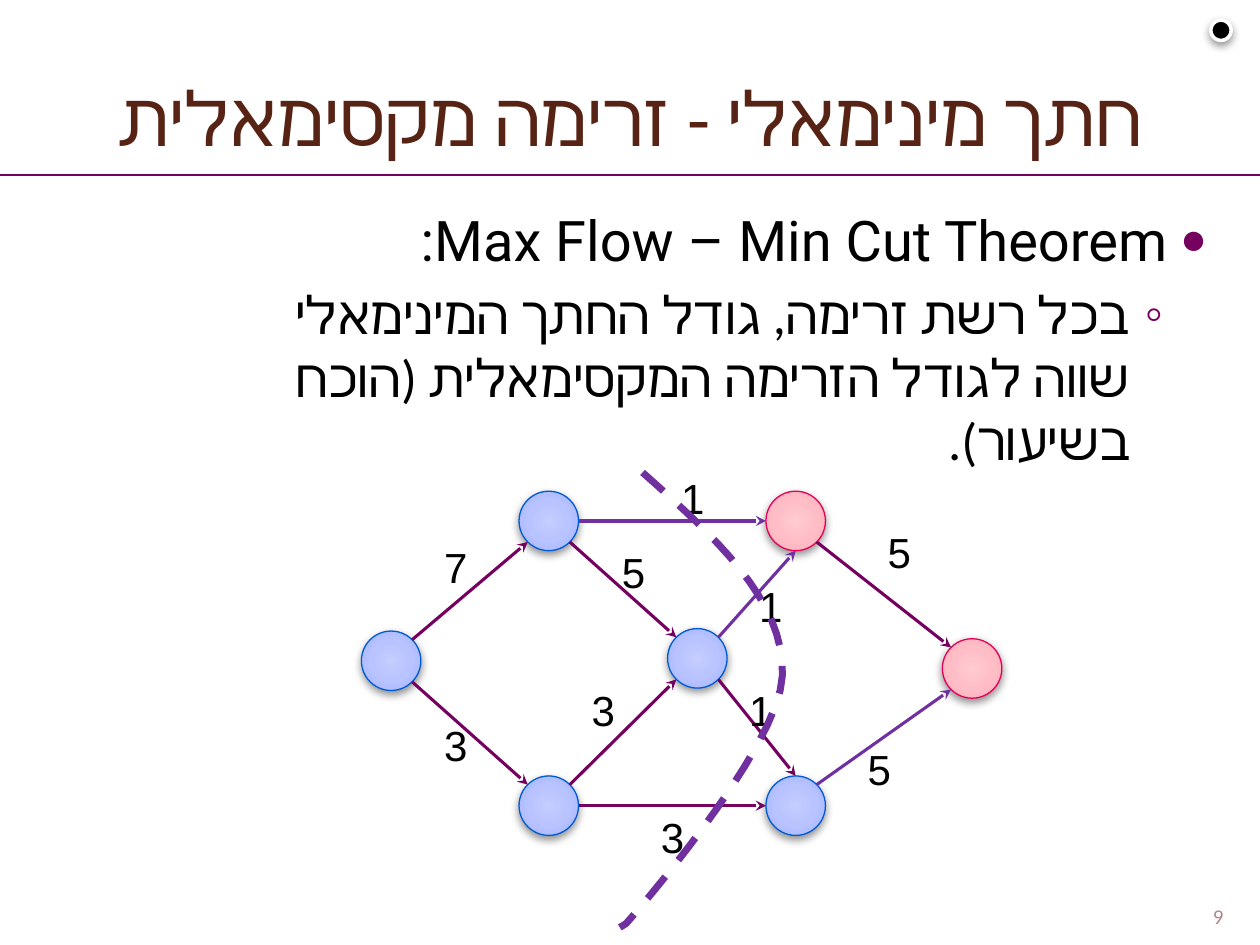
"""Build the max-flow min-cut theorem slide with its flow network."""
from math import cos, radians, sin

from pptx import Presentation
from pptx.dml.color import RGBColor
from pptx.enum.dml import MSO_LINE_DASH_STYLE as DASH
from pptx.enum.shapes import MSO_CONNECTOR as LINK, MSO_SHAPE as SHAPE
from pptx.enum.text import MSO_ANCHOR as ANCHOR, PP_ALIGN as ALIGN
from pptx.oxml import parse_xml
from pptx.oxml.ns import nsdecls, qn
from pptx.util import Pt

NS = nsdecls("a")
DARK, VIOLET = "75005F", "7030A0"


def hue(code):
    return RGBColor.from_string(code)


def write(left, top, wide, high, rows, color="000000", align=ALIGN.RIGHT, anchor=ANCHOR.TOP):
    frame = slide.shapes.add_textbox(Pt(left), Pt(top), Pt(wide), Pt(high)).text_frame
    frame.word_wrap = True
    frame.vertical_anchor = anchor
    for i, (text, size, face) in enumerate(rows):
        para = frame.add_paragraph() if i else frame.paragraphs[0]
        para.alignment = align
        para._p.get_or_add_pPr().set("rtl", "1")
        run = para.add_run()
        run.text = text
        run.font.size = Pt(size)
        run.font.name = face
        run.font.color.rgb = hue(color)
        run._r.rPr.append(parse_xml(f'<a:cs {NS} typeface="{face}"/>'))
    return frame


deck = Presentation()
deck.slide_width, deck.slide_height = Pt(720), Pt(540)
slide = deck.slides.add_slide(deck.slide_layouts[6])

write(0, 21.6, 720, 90, [("חתך מינימאלי - זרימה מקסימאלית", 43, "Calibri")],
      "572314", ALIGN.CENTER, ANCHOR.MIDDLE)
body = write(113, 113.8, 590.4, 172.8, [
    ("Max Flow – Min Cut Theorem:", 32, "Roboto"),
    ("בכל רשת זרימה, גודל החתך המינימאלי שווה לגודל הזרימה המקסימאלית (הוכח בשיעור).",
     30, "Calibri"),
])
body.paragraphs[1].space_before = Pt(5.5)
marks = [("●", 80, 28.8, -22.3), ("◦", 100, 50.4, -18.7)]
for level, (para, (mark, scale, left, hang)) in enumerate(zip(body.paragraphs, marks)):
    para.level = level
    props = para._p.pPr
    props.set("marL", str(Pt(left)))
    props.set("indent", str(Pt(hang)))
    for xml in (f'<a:buClr {NS}><a:srgbClr val="{DARK}"/></a:buClr>',
                f'<a:buSzPct {NS} val="{scale * 1000}"/>',
                f'<a:buFont {NS} typeface="Arial"/>',
                f'<a:buChar {NS} char="{mark}"/>'):
        props.append(parse_xml(xml))

BLUE = ("005BD3", ["C5CEFF", "B8C3FF", "A2B1FF", "9BACFF"])
PINK = ("E40059", ["FFCAD1", "FFBEC7", "FFAAB5", "FFA4B0"])
RAD = 17
nodes = {
    "s": (223.5, 377.6, BLUE), "b": (313.6, 460.4, BLUE), "a": (313.6, 297.7, BLUE),
    "d": (454.7, 460.4, BLUE), "c": (454.7, 297.7, PINK), "t": (555.5, 382, PINK),
    "m": (398.5, 376.2, BLUE),
}
discs = [(x, y, RAD, edge, 0.75, tones) for x, y, (edge, tones) in nodes.values()]
discs.append((697.7, 17.3, 5.8, "FFFFFF", 2, None))
for x, y, rad, edge, width, tones in discs:
    disc = slide.shapes.add_shape(SHAPE.OVAL, Pt(x - rad), Pt(y - rad), Pt(2 * rad), Pt(2 * rad))
    disc.line.color.rgb = hue(edge)
    disc.line.width = Pt(width)
    disc.shadow.inherit = False
    props = disc._element.spPr
    props.find(qn("a:effectLst")).append(parse_xml(
        f'<a:outerShdw {NS} blurRad="{Pt(5)}" dist="{Pt(2)}" dir="5400000" rotWithShape="0">'
        '<a:srgbClr val="000000"><a:alpha val="43000"/></a:srgbClr></a:outerShdw>'))
    if tones:
        stops = "".join(f'<a:gs pos="{pos * 1000}"><a:srgbClr val="{tone}"/></a:gs>'
                        for pos, tone in zip((0, 50, 97, 100), tones))
        props.insert(2, parse_xml(
            f'<a:gradFill {NS} rotWithShape="1"><a:gsLst>{stops}</a:gsLst><a:path path="circle">'
            '<a:fillToRect l="50000" t="50000" r="50000" b="50000"/></a:path></a:gradFill>'))
    else:
        disc.fill.solid()
        disc.fill.fore_color.rgb = hue("000000")

edges = [
    ("s", 45, "b", 225, DARK), ("s", -45, "a", 135, DARK), ("a", 0, "c", 180, VIOLET),
    ("b", 0, "d", 180, DARK), ("d", -45, "t", 135, VIOLET), ("c", 45, "t", 225, DARK),
    ("a", 45, "m", 225, DARK), ("b", -45, "m", 135, DARK), ("m", 45, "d", -90, DARK),
    ("m", -45, "c", 90, VIOLET),
]
lines = [(0, 100, 720, 100, DARK, 0.75)]
for start, out, end, into, color in edges:
    spots = []
    for name, turn in ((start, out), (end, into)):
        x, y, _ = nodes[name]
        spots += [x + RAD * cos(radians(turn)), y + RAD * sin(radians(turn))]
    lines.append((*spots, color, 1.75))
for *spots, color, width in lines:
    link = slide.shapes.add_connector(LINK.STRAIGHT, *[Pt(n) for n in spots])
    link.line.color.rgb = hue(color)
    link.line.width = Pt(width)
    link._element.spPr.append(parse_xml(f"<a:effectLst {NS}/>"))
    if width > 1:
        link.line._get_or_add_ln().append(parse_xml(f'<a:tailEnd {NS} type="stealth"/>'))

for text, left, top in [
    ("7", 246.2, 306), ("3", 246.2, 407.5), ("1", 381.6, 266.4), ("1", 426.2, 328.3),
    ("1", 420.5, 387.4), ("3", 370, 460), ("5", 347.8, 308.9), ("3", 330.5, 387.4),
    ("5", 499.7, 297.4), ("5", 488.2, 421.2),
]:
    write(left, top, 28, 36.7, [(text, 24, "Arial")])

curves = [
    [(367.2, 270), (408.2, 306.7), (448.6, 342.7), (447.1, 385.9)],
    [(447.1, 385.9), (445.7, 428.4), (357.8, 527.8), (357.8, 527.8)],
]
dots = []
for curve in curves:
    for step in range(1, 17):
        t = step / 16
        mix = ((1 - t) ** 3, 3 * t * (1 - t) ** 2, 3 * t * t * (1 - t), t ** 3)
        dots.append([Pt(sum(m * n for m, n in zip(mix, axis))) for axis in zip(*curve)])
dots.append((Pt(354.2), Pt(530)))
pen = slide.shapes.build_freeform(Pt(367.2), Pt(270))
pen.add_line_segments(dots, close=False)
cut = pen.convert_to_shape()
cut.shadow.inherit = False
cut.fill.background()
cut.line.color.rgb = hue(VIOLET)
cut.line.width = Pt(4)
cut.line.dash_style = DASH.DASH

write(678.2, 496.8, 36, 37.4, [("9", 12, "Calibri")], "AF8888", ALIGN.CENTER, ANCHOR.BOTTOM)

deck.save("out.pptx")
